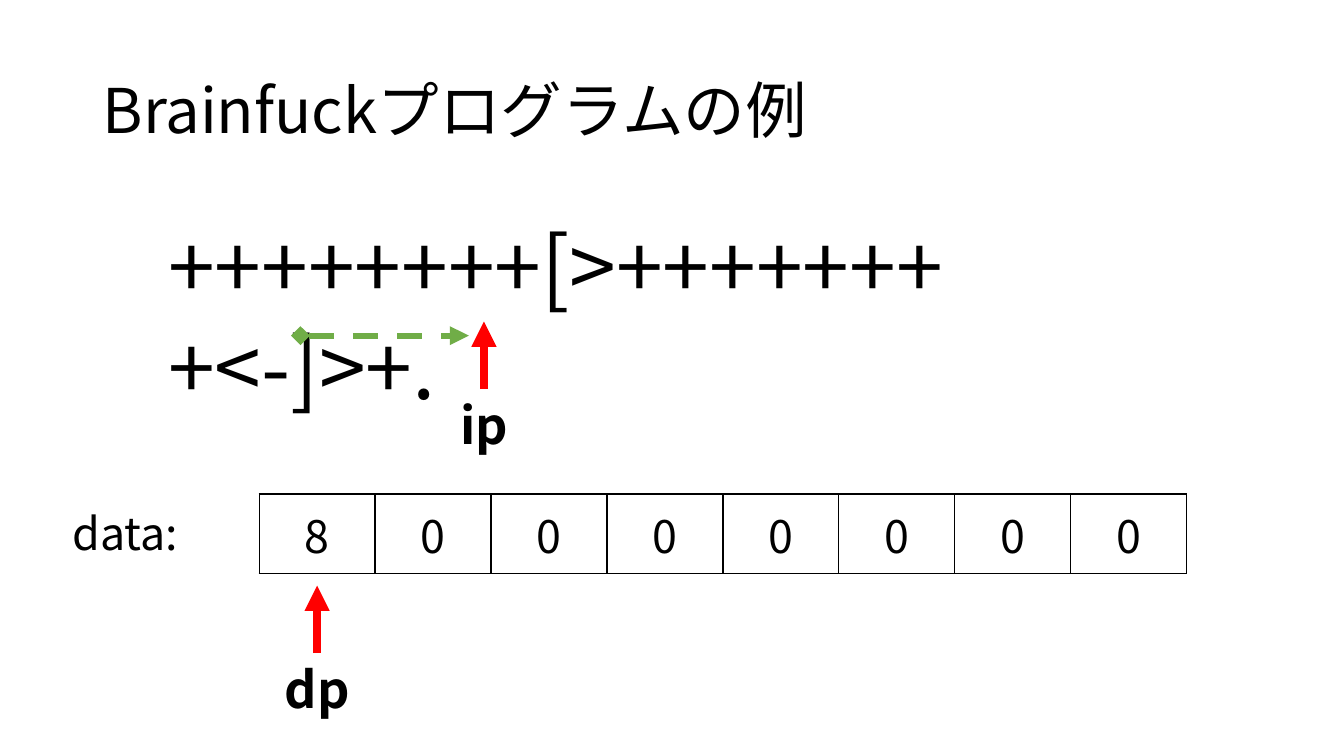
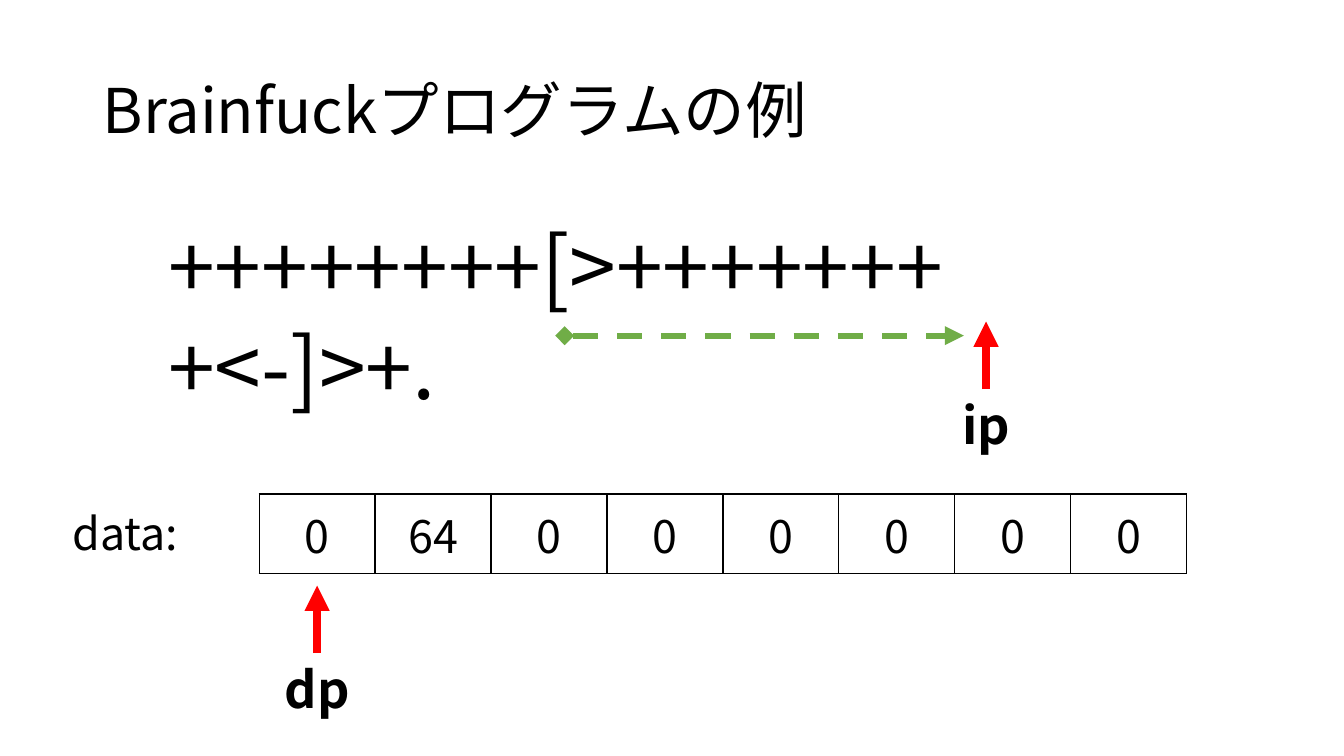
from dataclasses import dataclass

from lxml import etree
from pptx import Presentation
from pptx.dml.color import RGBColor
from pptx.enum.dml import MSO_LINE
from pptx.enum.shapes import MSO_CONNECTOR
from pptx.enum.text import MSO_ANCHOR, PP_ALIGN
from pptx.oxml.ns import qn
from pptx.util import Inches, Pt

STRAIGHT = MSO_CONNECTOR.STRAIGHT
DASH = MSO_LINE.DASH
LEFT, CENTER = PP_ALIGN.LEFT, PP_ALIGN.CENTER
TOP, MIDDLE = MSO_ANCHOR.TOP, MSO_ANCHOR.MIDDLE
TOP_SIDE = 0

TITLE = "Brainfuckプログラムの例"
PROGRAM = "++++++++[>++++++++<-]>+."
STEPS = [
    {"data": [8, 0, 0, 0, 0, 0, 0, 0], "data_cell": 0,
     "instruction_x": 4.8, "trace": (2.98, 4.65)},
    {"data": [0, 64, 0, 0, 0, 0, 0, 0], "data_cell": 0,
     "instruction_x": 9.78, "trace": (5.6, 9.56)},
]


@dataclass(frozen=True)
class Theme:
    font: str = "Noto Sans CJK JP"
    text: str = "000000"
    pointer: str = "FF0000"
    trace: str = "70AD47"
    title_size: int = 44
    program_size: int = 60
    data_size: int = 32
    pointer_size: int = 36
    border_width: float = 1
    pointer_width: float = 6
    trace_width: float = 4.5


THEME = Theme()
SLIDE_SIZE = (13.33, 7.5)
TITLE_BOX = (0.92, 0.4, 11.5, 1.45)
PROGRAM_BOX = (1.57, 2.08, 10.2, 1.11)
DATA_LABEL_BOX = (0.62, 4.97, 1.52, 0.64)
TABLE_LEFT, TABLE_TOP = 2.57, 4.9
CELL_WIDTH, CELL_HEIGHT = 1.15, 0.79
INSTRUCTION_TIP, DATA_TIP = 3.19, 5.81
POINTER_LENGTH = 0.67
POINTER_LABEL = (0.85, 0.71)
TRACE_Y = 3.33


def write(frame, text, size, align=LEFT, bold=False, line_spacing=None):
    paragraph = frame.paragraphs[0]
    for name, value in {"alignment": align, "line_spacing": line_spacing}.items():
        setattr(paragraph, name, value)
    run = paragraph.add_run()
    run.text = text
    for name, value in {"name": THEME.font, "size": Pt(size), "bold": bold}.items():
        setattr(run.font, name, value)
    run.font.color.rgb = RGBColor.from_string(THEME.text)
    east_asian = etree.SubElement(run._r.get_or_add_rPr(), qn("a:ea"))
    east_asian.set("typeface", THEME.font)


def add_text(shapes, box, text, size, anchor=TOP, **paragraph_format):
    shape = shapes.add_textbox(*map(Inches, box))
    shape.text_frame.word_wrap = True
    shape.text_frame.vertical_anchor = anchor
    write(shape.text_frame, text, size, **paragraph_format)
    return shape


def add_arrow(shapes, start, end, color, width, head=None, dash=None):
    """Draw a line with a triangle at its end and an optional head at its start."""
    arrow = shapes.add_connector(STRAIGHT, *map(Inches, (*start, *end)))
    arrow.line.color.rgb = RGBColor.from_string(color)
    arrow.line.width = Pt(width)
    arrow.line.dash_style = dash
    line = arrow.line._get_or_add_ln()
    for tag, kind in (("a:headEnd", head), ("a:tailEnd", "triangle")):
        if kind:
            etree.SubElement(line, qn(tag)).set("type", kind)
    etree.SubElement(arrow._element.spPr, qn("a:effectLst"))
    return arrow


def add_pointer(slide, text, x, tip):
    """Group a bold label with the upward arrow that stands on it."""
    shapes = slide.shapes.add_group_shape().shapes
    width, height = POINTER_LABEL
    base = tip + POINTER_LENGTH
    arrow = add_arrow(shapes, (x, base), (x, tip), THEME.pointer, THEME.pointer_width)
    label = add_text(shapes, (x - width / 2, base, width, height), text,
                     THEME.pointer_size, align=CENTER, bold=True)
    arrow.begin_connect(label, TOP_SIDE)


def add_border(cell):
    properties = cell._tc.get_or_add_tcPr()
    for position, side in enumerate(("a:lnL", "a:lnR", "a:lnT", "a:lnB")):
        line = etree.Element(qn(side), w=str(Pt(THEME.border_width)))
        fill = etree.SubElement(line, qn("a:solidFill"))
        etree.SubElement(fill, qn("a:srgbClr")).set("val", THEME.text)
        properties.insert(position, line)


def add_data(slide, values):
    box = (TABLE_LEFT, TABLE_TOP, CELL_WIDTH * len(values), CELL_HEIGHT)
    table = slide.shapes.add_table(1, len(values), *map(Inches, box)).table
    table.first_row = table.horz_banding = False
    for column, value in enumerate(values):
        table.columns[column].width = Inches(CELL_WIDTH)
        cell = table.cell(0, column)
        cell.vertical_anchor = MIDDLE
        cell.fill.background()
        add_border(cell)
        write(cell.text_frame, str(value), THEME.data_size, align=CENTER)


def add_step(presentation, step):
    slide = presentation.slides.add_slide(presentation.slide_layouts[6])
    shapes = slide.shapes
    add_text(shapes, TITLE_BOX, TITLE, THEME.title_size, anchor=MIDDLE, line_spacing=0.9)
    add_data(slide, step["data"])
    add_text(shapes, PROGRAM_BOX, PROGRAM, THEME.program_size)
    add_text(shapes, DATA_LABEL_BOX, "data:", THEME.data_size)
    data_x = TABLE_LEFT + CELL_WIDTH * (step["data_cell"] + 0.5)
    add_pointer(slide, "dp", data_x, DATA_TIP)
    add_pointer(slide, "ip", step["instruction_x"], INSTRUCTION_TIP)
    start, end = ((x, TRACE_Y) for x in step["trace"])
    add_arrow(shapes, start, end, THEME.trace, THEME.trace_width, "diamond", DASH)


def main():
    presentation = Presentation()
    presentation.slide_width, presentation.slide_height = map(Inches, SLIDE_SIZE)
    for step in STEPS:
        add_step(presentation, step)
    presentation.save("out.pptx")


if __name__ == "__main__":
    main()
